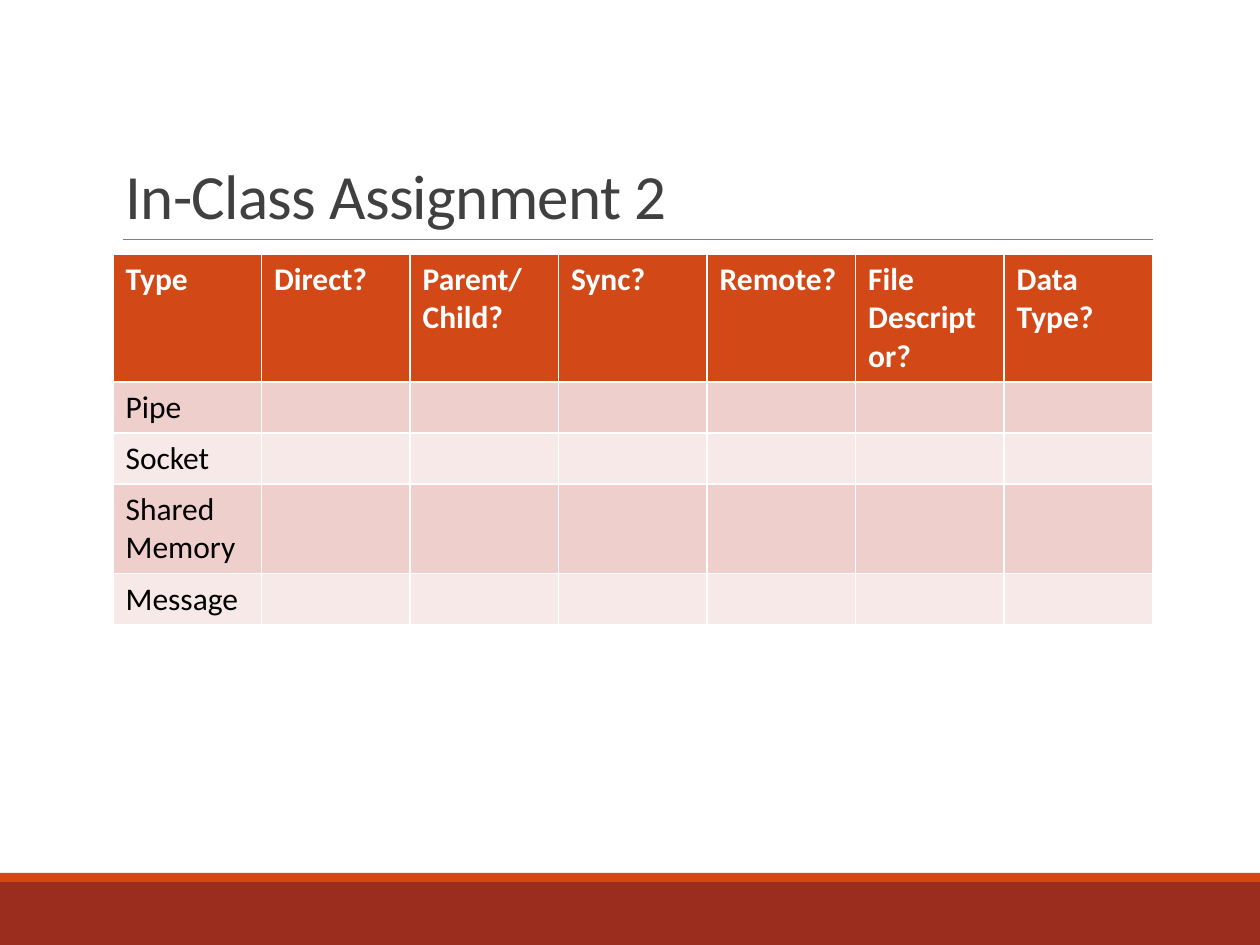
"""Build the in-class assignment slide with its comparison table."""
from dataclasses import dataclass

from lxml.etree import SubElement
from pptx import Presentation
from pptx.dml.color import RGBColor
from pptx.enum.shapes import MSO_CONNECTOR, MSO_SHAPE
from pptx.enum.text import MSO_ANCHOR, PP_ALIGN
from pptx.oxml.ns import qn
from pptx.util import Pt


@dataclass(frozen=True)
class Theme:
    font: str = "Calibri"
    title_size: int = 36
    cell_size: int = 18
    title: str = "404040"
    rule: str = "808080"
    accent: str = "D34817"
    footer: str = "9B2D1F"
    bands: tuple = ("F7E9E8", "EFCFCC")
    head_text: str = "FFFFFF"
    body_text: str = "000000"


PX = 914400 // 126
theme = Theme()


def add_run(p, text, size, color, bold=False):
    r = p.add_run()
    r.text = text
    r.font.name = theme.font
    r.font.size = Pt(size)
    r.font.bold = bold
    r.font.color.rgb = RGBColor.from_string(color)
    return r


prs = Presentation()
prs.slide_width, prs.slide_height = 1260 * PX, 945 * PX
s = prs.slides.add_slide(prs.slide_layouts[5])

for top, height, color in [(882, 63, theme.footer), (873, 9, theme.accent)]:
    sp = s.shapes.add_shape(MSO_SHAPE.RECTANGLE, 0, top * PX, 1260 * PX, height * PX)
    sp.shadow.inherit = False
    sp.fill.solid()
    sp.fill.fore_color.rgb = RGBColor.from_string(color)
    sp.line.fill.background()

rule = s.shapes.add_connector(MSO_CONNECTOR.STRAIGHT, 123 * PX, 239 * PX, 1153 * PX, 239 * PX)
rule.line.color.rgb = RGBColor.from_string(theme.rule)
rule.line.width = Pt(0.5)
SubElement(rule._element.spPr, qn("a:effectLst"))

title = s.shapes.title
title.left, title.top, title.width, title.height = 113 * PX, 39 * PX, 1040 * PX, 200 * PX
tf = title.text_frame
tf.word_wrap = True
tf.vertical_anchor = MSO_ANCHOR.BOTTOM
p = tf.paragraphs[0]
p.alignment = PP_ALIGN.LEFT
p.line_spacing = 0.85
r = add_run(p, "In-Class Assignment 2", theme.title_size, theme.title)
r.font._element.set("spc", "-40")

heads = ["Type", "Direct?", "Parent/\nChild?", "Sync?", "Remote?", "File Descriptor?", "Data Type?"]
kinds = ["Pipe", "Socket", "Shared Memory", "Message"]
rows = [heads] + [[kind] + [""] * (len(heads) - 1) for kind in kinds]
table = s.shapes.add_table(
    len(rows), len(heads), 113 * PX, 254 * PX, 1040 * PX, 255 * PX
).table

for i, row in enumerate(rows):
    is_head = i == 0
    fill = theme.accent if is_head else theme.bands[i % 2]
    color = theme.head_text if is_head else theme.body_text
    for j, text in enumerate(row):
        cell = table.cell(i, j)
        cell.fill.solid()
        cell.fill.fore_color.rgb = RGBColor.from_string(fill)
        tf = cell.text_frame
        for k, line in enumerate(text.splitlines()):
            p = tf.add_paragraph() if k else tf.paragraphs[0]
            add_run(p, line, theme.cell_size, color, is_head)

prs.save("out.pptx")
